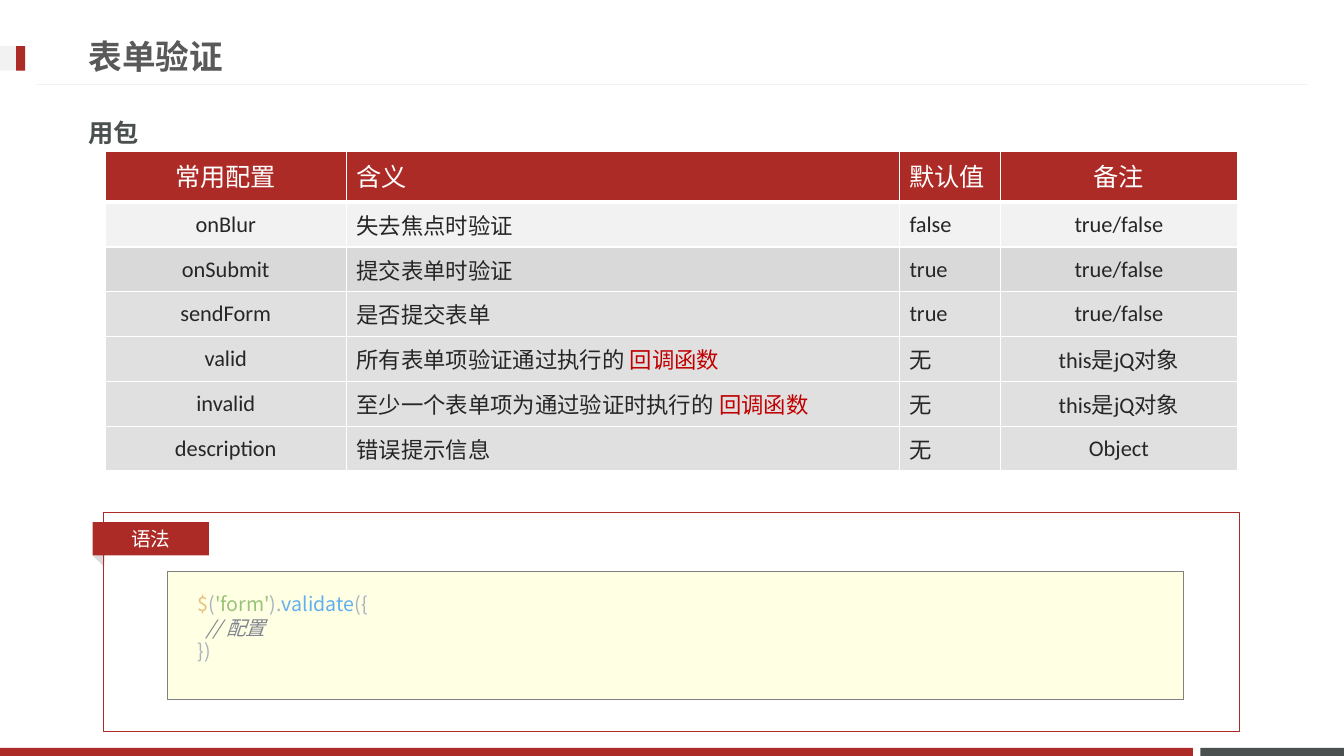
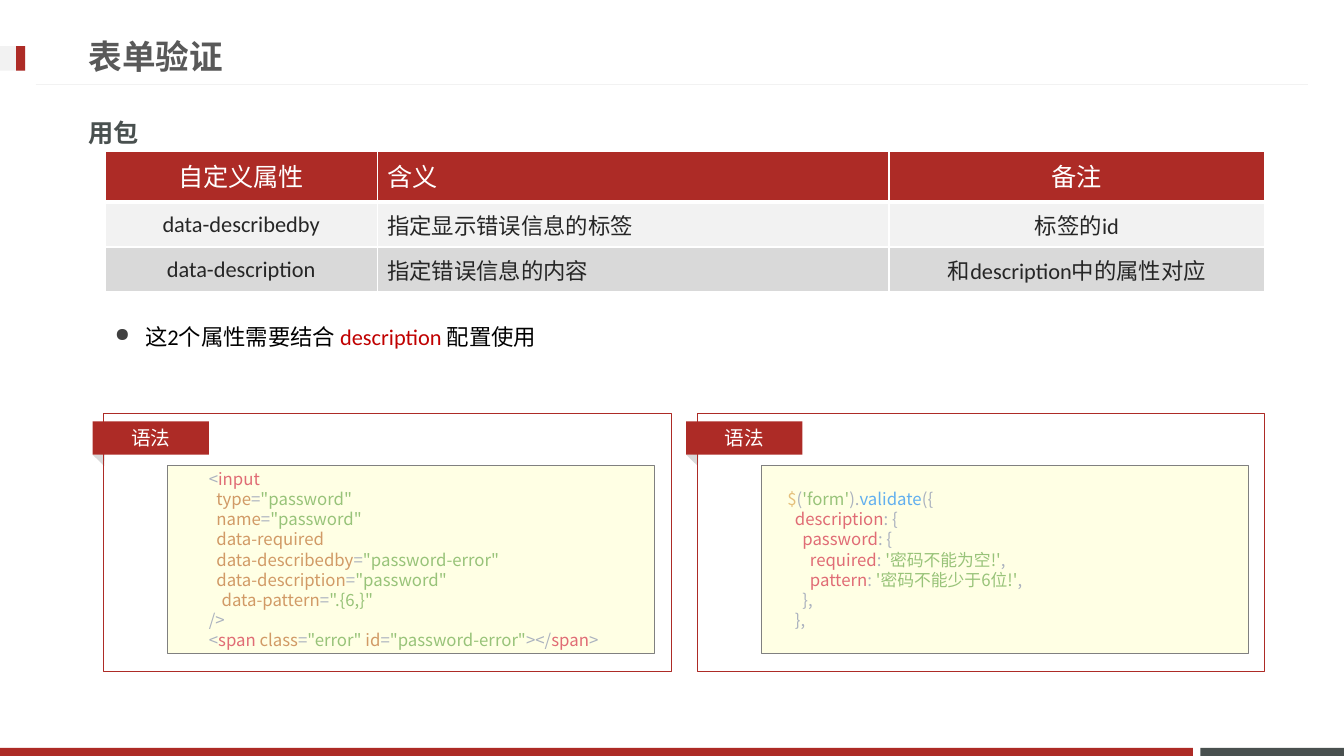
from lxml import etree
from pptx import Presentation
from pptx.dml.color import RGBColor
from pptx.enum.lang import MSO_LANGUAGE_ID
from pptx.enum.shapes import MSO_CONNECTOR, MSO_SHAPE
from pptx.enum.text import MSO_ANCHOR, PP_ALIGN
from pptx.oxml.ns import qn
from pptx.util import Pt

RECT, TRIANGLE = MSO_SHAPE.RECTANGLE, MSO_SHAPE.ISOSCELES_TRIANGLE
STRAIGHT = MSO_CONNECTOR.STRAIGHT
LEFT, CENTER = PP_ALIGN.LEFT, PP_ALIGN.CENTER
TOP, MIDDLE = MSO_ANCHOR.TOP, MSO_ANCHOR.MIDDLE
CHINESE = MSO_LANGUAGE_ID.SIMPLIFIED_CHINESE

LATIN_FONT, CJK_FONT = "Calibri", "Noto Sans CJK JP"
SPACE_WIDTH = 0.224  # width of a space in the code font, in ems
CODE_MARGIN = 36

COLORS = {
    "red": "AD2B26", "slate": "49504F", "title": "595959", "pale": "F2F2F2",
    "gray": "D9D9D9", "white": "FFFFFF", "black": "000000", "body": "262626",
    "accent": "C00000", "bullet": "404040", "cream": "FFFFE4",
    "code_edge": "808080",
    "plain": "ABB2BF", "variable": "E5C07B", "string": "98C379",
    "function": "61AFEF", "comment": "7F848E", "name": "E06C75",
    "attribute": "D19A66",
}

CONFIG_ROWS = [
    ["常用配置", "含义", "默认值", "备注"],
    ["onBlur", "失去焦点时验证", "false", "true/false"],
    ["onSubmit", "提交表单时验证", "true", "true/false"],
    ["sendForm", "是否提交表单", "true", "true/false"],
    ["valid", [("所有表单项验证通过执行的 ", "body"), ("回调函数", "accent")],
     "无", "this是jQ对象"],
    ["invalid",
     [("至少一个表单项为通过验证时执行的 ", "body"), ("回调函数", "accent")],
     "无", "this是jQ对象"],
    ["description", "错误提示信息", "无", "Object"],
]
ATTRIBUTE_ROWS = [
    ["自定义属性", "含义", "备注"],
    ["data-describedby", "指定显示错误信息的标签", "标签的id"],
    ["data-description", "指定错误信息的内容", "和description中的属性对应"],
]


def assignment(name, value):
    return [(name, "attribute"), ("=", "plain"), (f'"{value}"', "string")]


def message(name, value):
    return [(name, "name"), (": ", "plain"), (f"'{value}'", "string"),
            (",", "plain")]


def opening(name):
    return [(name, "name"), (": {", "plain")]


# Each code line is its indent in space widths and its coloured runs.
VALIDATE_CALL = (6, [("$", "variable"), ("(", "plain"), ("'form'", "string"),
                     (").", "plain"), ("validate", "function"),
                     ("({", "plain")])
CONFIG_CODE = [
    VALIDATE_CALL,
    (8, [("// 配置", "comment")]),
    (6, [("})", "plain")]),
]
INPUT_CODE = [
    (10, [("<", "plain"), ("input", "name")]),
    (12, assignment("type", "password")),
    (12, assignment("name", "password")),
    (12, [("data-required", "attribute")]),
    (12, assignment("data-describedby", "password-error")),
    (12, assignment("data-description", "password")),
    (13.4, assignment("data-pattern", ".{6,}")),
    (10, [("/>", "plain")]),
    (10, [("<", "plain"), ("span ", "name"), *assignment("class", "error"),
          (" ", "plain"), *assignment("id", "password-error"),
          ("></", "plain"), ("span", "name"), (">", "plain")]),
]
DESCRIPTION_CODE = [
    VALIDATE_CALL,
    (8, opening("description")),
    (10, opening("password")),
    (12, message("required", "密码不能为空!")),
    (12, message("pattern", "密码不能少于6位!")),
    (10, [("},", "plain")]),
    (8, [("},", "plain")]),
]


def rgb(color):
    return RGBColor.from_string(COLORS[color])


def points(*lengths):
    return [Pt(length) for length in lengths]


def write(frame, text, *, size, color="body", font=LATIN_FONT, bold=False,
          align=LEFT, anchor=MIDDLE, spacing=None, before=None, indent=0,
          hanging=0):
    """Add a paragraph; text is a string or a list of (string, colour)."""
    frame.word_wrap = True
    frame.vertical_anchor = anchor
    paragraph = frame.paragraphs[0]
    if paragraph.runs:
        paragraph = frame.add_paragraph()
    paragraph.alignment = align
    if spacing is not None:
        paragraph.line_spacing = spacing
    if before is not None:
        paragraph.space_before = Pt(before)
    if indent:
        properties = paragraph._p.get_or_add_pPr()
        properties.set("marL", str(Pt(indent)))
        properties.set("indent", str(-Pt(hanging)))
    for words, run_color in [(text, color)] if isinstance(text, str) else text:
        run = paragraph.add_run()
        run.text = words
        run.font.size = Pt(size)
        run.font.name = font
        run.font.bold = bold
        run.font.italic = run_color == "comment"
        run.font.color.rgb = rgb(run_color)
        run.font.language_id = CHINESE
        east_asian = etree.Element(qn("a:ea"), typeface=CJK_FONT)
        run.font._element.find(qn("a:latin")).addnext(east_asian)
    return paragraph


def add_bullet(paragraph, color, percent, symbol):
    properties = paragraph._p.get_or_add_pPr()
    bullet_color = etree.SubElement(properties, qn("a:buClr"))
    etree.SubElement(bullet_color, qn("a:srgbClr"), val=COLORS[color])
    etree.SubElement(properties, qn("a:buSzPct"), val=str(percent * 1000))
    etree.SubElement(properties, qn("a:buChar"), char=symbol)


def add_box(slide, left, top, width, height, *, fill=None, line=None,
            weight=0.75, preset=RECT):
    box = slide.shapes.add_shape(preset, *points(left, top, width, height))
    box.shadow.inherit = False
    if fill:
        box.fill.solid()
        box.fill.fore_color.rgb = rgb(fill)
    else:
        box.fill.background()
    if line:
        box.line.color.rgb = rgb(line)
        box.line.width = Pt(weight)
    else:
        box.line.fill.background()
    return box


def add_frame(slide, left, top, width, height):
    return slide.shapes.add_textbox(
        *points(left, top, width, height)).text_frame


def add_rule(slide, left, right, y):
    rule = slide.shapes.add_connector(STRAIGHT, *points(left, y, right, y))
    rule.line.color.rgb = rgb("pale")
    rule.line.width = Pt(0.75)
    etree.SubElement(rule.element.spPr, qn("a:effectLst"))
    return rule


def decorate_layout(layout, slide):
    """Draw the shared bands on a slide and move them into its layout."""
    bands = [
        add_box(slide, 857.5, 534.25, 102.5, 5.75, fill="slate"),
        add_box(slide, 0, 534.25, 852, 5.75, fill="red"),
        add_rule(slide, 25.5, 934.5, 60.5),
        add_box(slide, 0, 33, 18, 17.5, fill="pale"),
        add_box(slide, 11.5, 33, 6.5, 17.5, fill="red"),
    ]
    for order, band in enumerate(bands):
        band.element.xpath(".//p:cNvPr")[0].set("id", str(100 + order))
        layout.shapes.element.insert(2 + order, band.element)


def add_titles(slide, title_text, subtitle_text):
    title = slide.shapes.title
    title.left, title.top, title.width, title.height = points(
        56, 19.5, 690.5, 41)
    write(title.text_frame, title_text, size=24, color="title", bold=True)
    write(add_frame(slide, 56, 74, 847, 41), subtitle_text, size=18,
          color="slate", font=CJK_FONT, bold=True)


def set_borders(cell, top=1, bottom=1):
    properties = cell._tc.get_or_add_tcPr()
    for side, weight in (("L", 1), ("R", 1), ("T", top), ("B", bottom)):
        line = etree.SubElement(properties, qn(f"a:ln{side}"),
                                w=str(Pt(weight)))
        fill = etree.SubElement(line, qn("a:solidFill"))
        etree.SubElement(fill, qn("a:srgbClr"), val=COLORS["white"])


def fill_cell(cell, color, opacity=100):
    cell.fill.solid()
    cell.fill.fore_color.rgb = rgb(color)
    if opacity < 100:
        tint = cell._tc.tcPr.find(qn("a:solidFill")).find(qn("a:srgbClr"))
        etree.SubElement(tint, qn("a:alpha"), val=str(opacity * 1000))


def add_reference_table(slide, rows, widths, aligns):
    heights = [36.5] + [32] * (len(rows) - 1)
    fills = [("red",), ("pale",), ("gray",)] + [("gray", 80)] * len(rows)
    table = slide.shapes.add_table(
        len(rows), len(widths),
        *points(75, 108, sum(widths), sum(heights))).table
    table.horz_banding = False
    for column, width in zip(table.columns, widths):
        column.width = Pt(width)
    for r, (row, height) in enumerate(zip(rows, heights)):
        table.rows[r].height = Pt(height)
        style = ({"size": 18, "color": "white", "spacing": Pt(24)}
                 if r == 0 else {"size": 16})
        for c, (text, align) in enumerate(zip(row, aligns)):
            cell = table.cell(r, c)
            set_borders(cell, top=3 if r == 1 else 1,
                        bottom=3 if r == 0 else 1)
            fill_cell(cell, *fills[r])
            write(cell.text_frame, text, align=align, **style)
            cell.vertical_anchor = MIDDLE


def add_syntax_panel(slide, code, left, top, width, height, *, tab_offset,
                     code_offset, code_width, code_height, size, lift=0):
    """Draw a framed code sample; lift raises the code above the middle."""
    code_left, code_top = left + 45.3, top + code_offset
    tab_left, tab_top = left - 8, top + tab_offset
    add_box(slide, code_left, code_top, code_width, code_height,
            fill="cream", line="code_edge", weight=0.25)
    fold = add_box(slide, tab_left + 0.7, tab_top + 22.3, 11.5, 6.5,
                   fill="gray", preset=TRIANGLE)
    fold.rotation = 44.2
    add_box(slide, left, top, width, height, line="red")
    tab = add_box(slide, tab_left, tab_top, 83, 23.8, fill="red")
    write(tab.text_frame, "语法", size=14, color="white", align=CENTER)

    line_height = 1.2 * size
    text_height = len(code) * line_height + 7.2
    text_top = code_top + (code_height - text_height) / 2 - lift
    frame = add_frame(slide, left + 5, text_top, code_width + 30, text_height)
    for spaces, runs in code:
        write(frame, runs, size=size, font=CJK_FONT, spacing=Pt(line_height),
              indent=CODE_MARGIN + spaces * SPACE_WIDTH * size)


def add_config_slide(slide):
    add_reference_table(slide, CONFIG_ROWS, [172.5, 395, 72, 169.5],
                        [CENTER, LEFT, LEFT, CENTER])
    add_syntax_panel(slide, CONFIG_CODE, 74.2, 365.8, 811.4, 157,
                     tab_offset=7.2, code_offset=42.4, code_width=726,
                     code_height=91.4, size=14, lift=5.8)


def add_attribute_slide(slide):
    add_reference_table(slide, ATTRIBUTE_ROWS, [194.5, 365.5, 268.5],
                        [CENTER, LEFT, CENTER])
    for order, code in enumerate([INPUT_CODE, DESCRIPTION_CODE]):
        add_syntax_panel(slide, code, 74.2 + order * 424, 295.2, 405.4, 184.3,
                         tab_offset=5.8, code_offset=37.4, code_width=348,
                         code_height=134, size=12)
    note = write(add_frame(slide, 75, 217.5, 847, 88),
                 [("这2个属性需要结合 ", "black"), ("description ", "accent"),
                  ("配置使用", "black")],
                 size=16, anchor=TOP, spacing=1.5, before=10, indent=21.6,
                 hanging=21.6)
    add_bullet(note, "bullet", 85, "●")


def main():
    deck = Presentation()
    deck.slide_width, deck.slide_height = points(960, 540)
    layout = deck.slide_layouts[5]
    for order, add_content in enumerate([add_config_slide,
                                         add_attribute_slide]):
        slide = deck.slides.add_slide(layout)
        if order == 0:
            decorate_layout(layout, slide)
        add_titles(slide, "表单验证", "用包")
        add_content(slide)
    deck.save("out.pptx")


if __name__ == "__main__":
    main()
